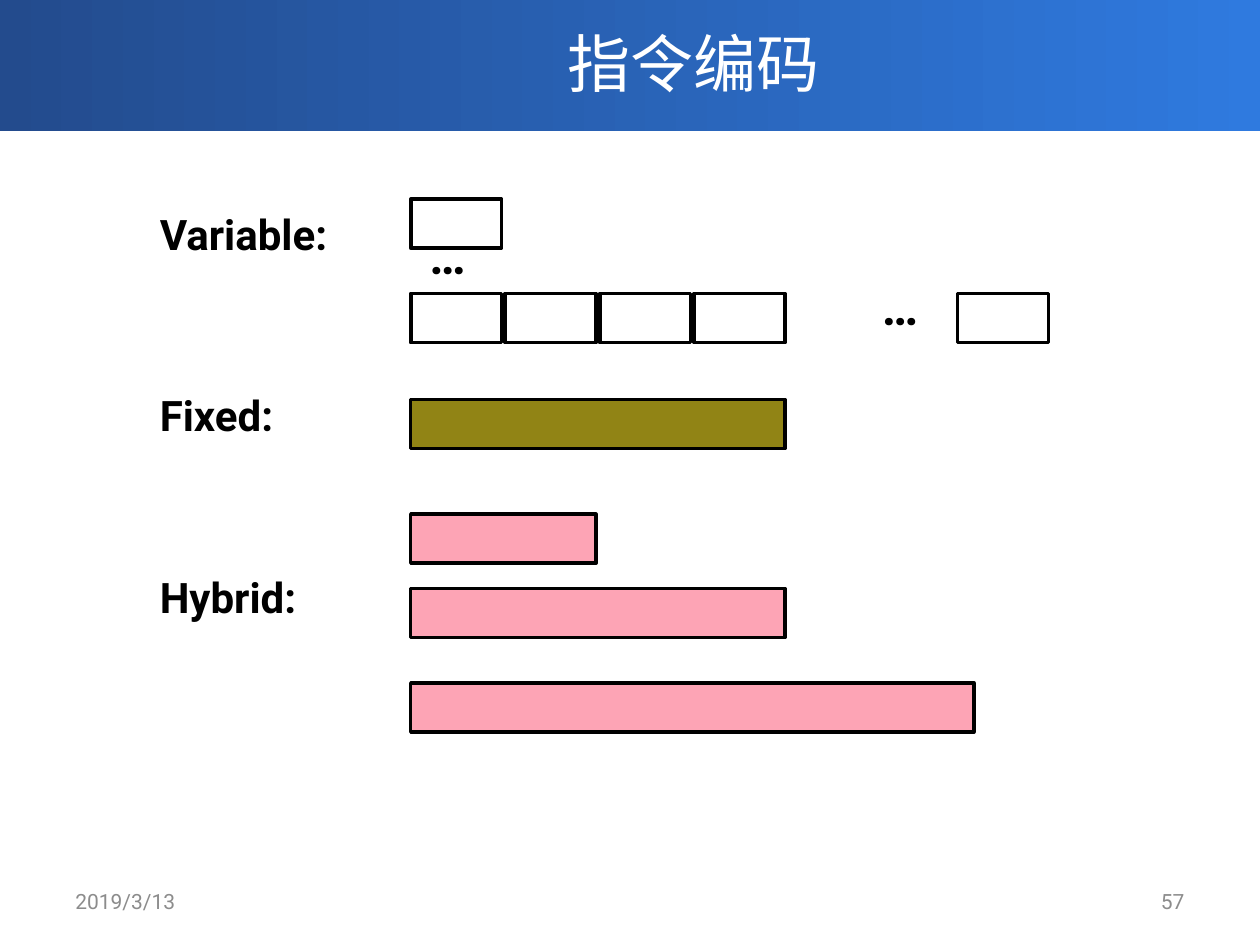
from pptx import Presentation
from pptx.dml.color import RGBColor
from pptx.enum.shapes import MSO_SHAPE as Preset
from pptx.enum.text import MSO_ANCHOR as Anchor, MSO_AUTO_SIZE as AutoSize, PP_ALIGN as Align
from pptx.oxml.ns import qn
from pptx.util import Inches, Pt
from lxml import etree

COLORS = {
    "band_start": "234B8D", "band_end": "2F7ADF", "white": "FFFFFF",
    "black": "000000", "gray": "8C8C8C", "fixed": "918415", "hybrid": "FDA4B5",
}
LATIN_FONT = "Roboto"
TITLE_FONT = "Noto Sans CJK SC"

TITLE = "指令编码"
LABELS = ["Variable:", "Fixed:", "Hybrid:"]
LABEL_LEFT, LABEL_TOP, LABEL_PITCH = 1.17, 1.65, 1.44
ELLIPSES = [(3.31, 1.79), (6.9, 2.2)]
FOOTERS = [("2019/3/13", 0.5, Align.LEFT), ("57", 7.17, Align.RIGHT)]

BAR_LEFT, BAR_HEIGHT = 3.26, 0.39
UNIT, GAP = 0.75, 0.03
VARIABLE_TOP = 2.33
BARS = [
    (BAR_LEFT, 1.58, 1, None),
    *[(BAR_LEFT + UNIT * index, VARIABLE_TOP, 1, None) for index in range(4)],
    (7.6, VARIABLE_TOP, 1, None),
    (BAR_LEFT, 3.17, 4, "fixed"),
    (BAR_LEFT, 4.08, 2, "hybrid"),
    (BAR_LEFT, 4.67, 4, "hybrid"),
    (BAR_LEFT, 5.42, 6, "hybrid"),
]


def rgb(name):
    return RGBColor.from_string(COLORS[name])


def write(frame, text, size, color, font=LATIN_FONT, bold=False, align=Align.LEFT):
    paragraph = frame.paragraphs[0]
    paragraph.alignment = align
    run = paragraph.add_run()
    run.text = text
    run.font.size = Pt(size)
    run.font.name = font
    run.font.bold = bold
    run.font.color.rgb = rgb(color)
    east_asian = etree.Element(qn("a:ea"), typeface=font)
    run.font._element.find(qn("a:latin")).addnext(east_asian)
    return paragraph


def add_bold_text(slide, text, left, top, width, height, size):
    frame = slide.shapes.add_textbox(
        Inches(left), Inches(top), Inches(width), Inches(height)).text_frame
    frame.word_wrap = False
    write(frame, text, size, "black", bold=True).line_spacing = 0.9


def add_bar(slide, left, top, units, color):
    bar = slide.shapes.add_shape(
        Preset.RECTANGLE, Inches(left), Inches(top),
        Inches(units * UNIT - GAP), Inches(BAR_HEIGHT))
    bar.shadow.inherit = False
    if color:
        bar.fill.solid()
        bar.fill.fore_color.rgb = rgb(color)
    else:
        bar.fill.background()
    bar.line.color.rgb = rgb("black")
    bar.line.width = Pt(2)


def add_header(slide):
    band = slide.shapes.add_shape(
        Preset.RECTANGLE, 0, Inches(-0.03), Inches(10), Inches(1.07))
    band.shadow.inherit = False
    band.line.fill.background()
    band.fill.gradient()
    band.fill.gradient_angle = 0
    for stop, color in zip(band.fill.gradient_stops, ("band_start", "band_end")):
        stop.color.rgb = rgb(color)

    title = slide.shapes.title
    title._element.addprevious(band._element)
    title.left, title.top = Inches(1), Inches(0)
    title.width, title.height = Inches(9), Inches(0.99)
    title.text_frame.auto_size = AutoSize.NONE
    title.text_frame.vertical_anchor = Anchor.MIDDLE
    write(title.text_frame, TITLE, 36, "white", font=TITLE_FONT, align=Align.CENTER)


def add_footer(slide, text, left, align):
    frame = slide.shapes.add_textbox(
        Inches(left), Inches(6.95), Inches(2.33), Inches(0.4)).text_frame
    frame.word_wrap = True
    frame.vertical_anchor = Anchor.MIDDLE
    write(frame, text, 12, "gray", align=align)


def main():
    presentation = Presentation()
    presentation.slide_width, presentation.slide_height = Inches(10), Inches(7.5)
    slide = presentation.slides.add_slide(presentation.slide_layouts[5])
    add_header(slide)
    for footer in FOOTERS:
        add_footer(slide, *footer)
    for index, label in enumerate(LABELS):
        add_bold_text(slide, label, LABEL_LEFT, LABEL_TOP + index * LABEL_PITCH, 1.61, 0.45, 24)
    for bar in BARS:
        add_bar(slide, *bar)
    for left, top in ELLIPSES:
        add_bold_text(slide, "…", left, top, 0.59, 0.52, 28)
    presentation.save("out.pptx")


if __name__ == "__main__":
    main()
